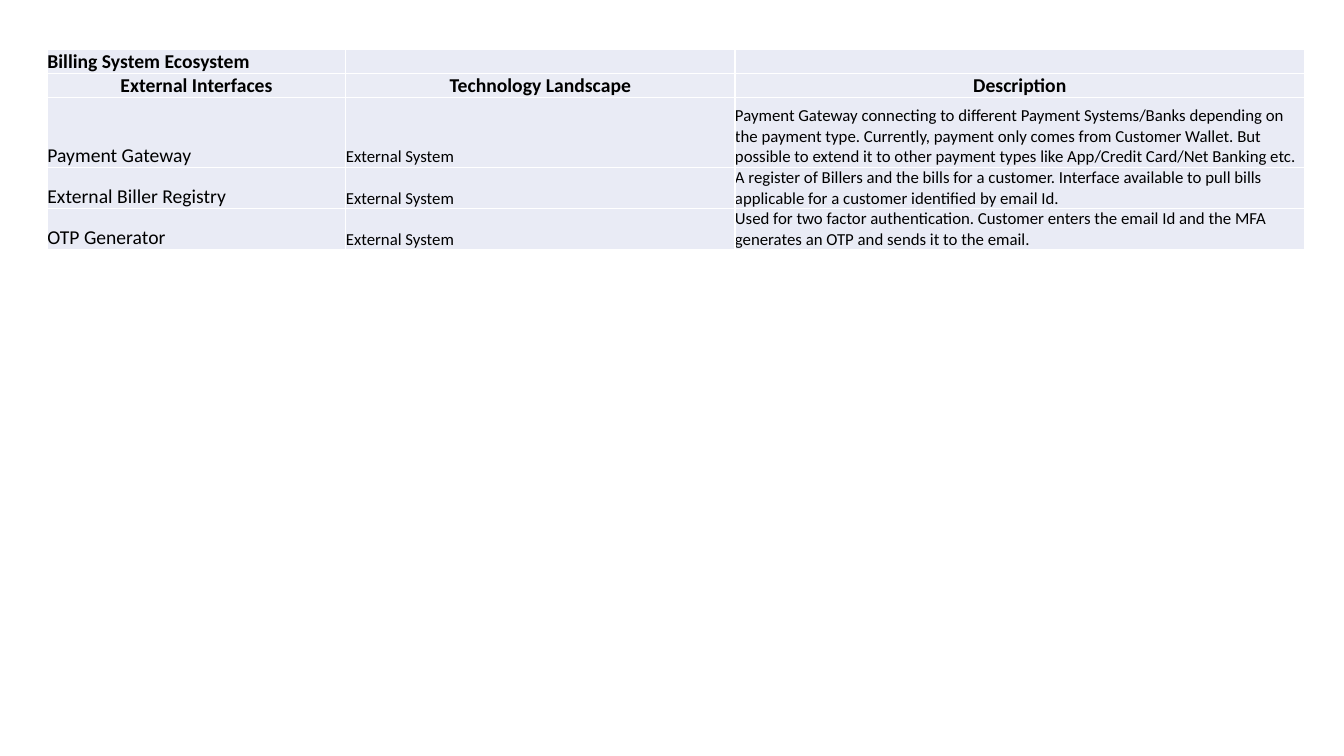
from lxml import etree
from pptx import Presentation
from pptx.dml.color import RGBColor
from pptx.enum.text import MSO_ANCHOR, PP_ALIGN
from pptx.oxml.ns import qn
from pptx.util import Inches, Pt

BLACK = RGBColor(0x00, 0x00, 0x00)
WHITE = RGBColor(0xFF, 0xFF, 0xFF)
PALE_BLUE = RGBColor(0xE9, 0xEB, 0xF5)
BOTTOM = MSO_ANCHOR.BOTTOM
LEFT, CENTER = PP_ALIGN.LEFT, PP_ALIGN.CENTER
FONT_NAME = "Calibri"
HEADER_OPACITY = 93

ROWS = [
    ("Billing System Ecosystem", "", ""),
    ("External Interfaces", "Technology Landscape", "Description"),
    ("Payment Gateway", "External System",
     "Payment Gateway connecting to different Payment Systems/Banks depending on "
     "the payment type. Currently, payment only comes from Customer Wallet. But "
     "possible to extend it to other payment types like App/Credit Card/Net Banking etc."),
    ("External Biller Registry", "External System",
     "A register of Billers and the bills for a customer. Interface available to "
     "pull bills applicable for a customer identified by email Id."),
    ("OTP Generator", "External System",
     "Used for two factor authentication. Customer enters the email Id and the MFA "
     "generates an OTP and sends it to the email."),
]
TITLE_ROW, HEADER_ROW = 0, 1
COLUMN_WIDTHS = [2.96, 3.86, 5.65]
ROW_HEIGHTS = [0.24, 0.24, 0.69, 0.41, 0.41]
TABLE_LEFT, TABLE_TOP = 0.47, 0.49

CELL_FORMAT = {"vertical_anchor": BOTTOM, "margin_left": 0, "margin_right": 0,
               "margin_top": 0, "margin_bottom": 0}


def add_borders(cell):
    """Draw a thin white line on all four sides of a cell."""
    properties = cell._tc.get_or_add_tcPr()
    for index, side in enumerate(("lnL", "lnR", "lnT", "lnB")):
        line = etree.Element(qn(f"a:{side}"), w=str(Pt(1)))
        fill = etree.SubElement(line, qn("a:solidFill"))
        etree.SubElement(fill, qn("a:srgbClr"), val=str(WHITE))
        properties.insert(index, line)


def fill_cell(cell, opacity=100):
    """Fill a cell with pale blue, slightly transparent if asked."""
    cell.fill.solid()
    cell.fill.fore_color.rgb = PALE_BLUE
    if opacity < 100:
        color = cell._tc.tcPr.find(f".//{qn('a:srgbClr')}")
        etree.SubElement(color, qn("a:alpha"), val=str(opacity * 1000))


def write_cell(cell, text, size, bold, alignment):
    """Write formatted text, or size the blank line of an empty cell."""
    para = cell.text_frame.paragraphs[0]
    para.alignment = alignment
    if not text:
        etree.SubElement(para._p, qn("a:endParaRPr"), sz=str(size * 100))
        return
    span = para.add_run()
    span.text = text
    font_format = {"name": FONT_NAME, "size": Pt(size), "bold": bold}
    for name, value in font_format.items():
        setattr(span.font, name, value)
    span.font.color.rgb = BLACK


def add_interface_table(page):
    """Add the table of external interfaces."""
    frame = page.shapes.add_table(
        len(ROWS), len(COLUMN_WIDTHS), Inches(TABLE_LEFT), Inches(TABLE_TOP),
        Inches(sum(COLUMN_WIDTHS)), Inches(sum(ROW_HEIGHTS)))
    table = frame.table
    table.first_row = table.horz_banding = False
    for column, width in zip(table.columns, COLUMN_WIDTHS):
        column.width = Inches(width)
    for row, height in zip(table.rows, ROW_HEIGHTS):
        row.height = Inches(height)
    for row_index, texts in enumerate(ROWS):
        is_header = row_index == HEADER_ROW
        is_heading = row_index in (TITLE_ROW, HEADER_ROW)
        for column_index, text in enumerate(texts):
            cell = table.cell(row_index, column_index)
            for name, value in CELL_FORMAT.items():
                setattr(cell, name, value)
            fill_cell(cell, HEADER_OPACITY if is_header else 100)
            add_borders(cell)
            size = 14 if is_heading or column_index == 0 else 12
            write_cell(cell, text, size, is_heading, CENTER if is_header else LEFT)


deck = Presentation()
deck.slide_width, deck.slide_height = Inches(13.33), Inches(7.5)
page = deck.slides.add_slide(deck.slide_layouts[6])
add_interface_table(page)
deck.save("out.pptx")
